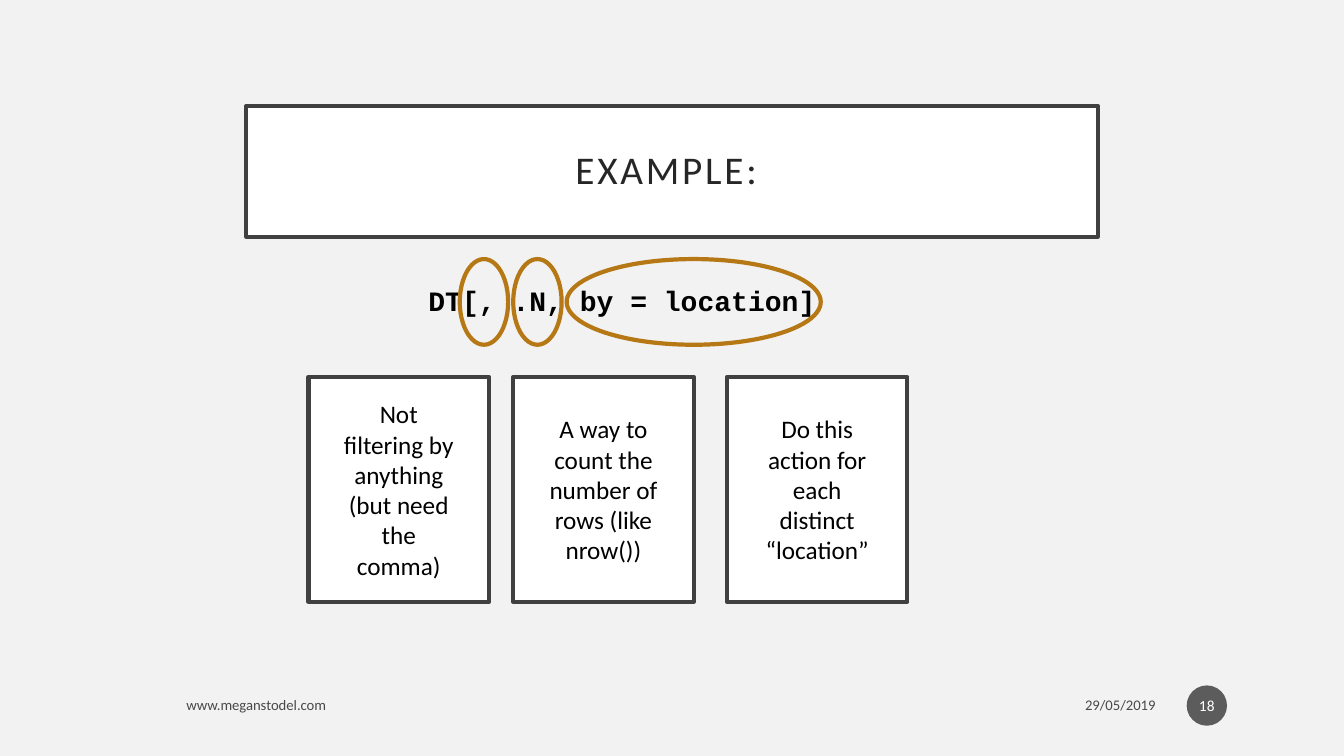
from pptx import Presentation
from pptx.dml.color import RGBColor
from pptx.enum.shapes import MSO_SHAPE
from pptx.enum.text import MSO_ANCHOR, MSO_AUTO_SIZE, PP_ALIGN
from pptx.oxml.ns import qn
from pptx.util import Inches, Pt
from lxml.etree import SubElement

# Content
TITLE = "EXAMPLE: "
CODE = "DT[, .N, by = location]"
NOTES = [  # left, text
    (3.06, "Not filtering by anything (but need the comma)"),
    (5.09, "A way to count the number of rows (like nrow())"),
    (7.21, "Do this action for each distinct “location”"),
]
RINGS = [(4.56, 0.48), (5.09, 0.48), (5.62, 2.52)]  # left, width
SITE, DATE, PAGE = "www.meganstodel.com", "29/05/2019", "18"


class Theme:
    back, white, black = "F2F2F2", "FFFFFF", "000000"
    edge, title, ring, badge = "404040", "262626", "B67815", "1D1D1D"
    font, mono = "Calibri", "Courier New"
    head, code, note, page, foot = 28, 20, 18, 11, 10.5
    opaque = 70


deck = Presentation()
deck.slide_width, deck.slide_height = Inches(13.33), Inches(7.5)
slide = deck.slides.add_slide(deck.slide_layouts[6])
slide.background.fill.solid()
slide.background.fill.fore_color.rgb = RGBColor.from_string(Theme.back)


def fade(node):
    """Make every colour below node partly transparent."""
    for color in node.iter(qn("a:srgbClr")):
        SubElement(color, qn("a:alpha")).set("val", str(Theme.opaque * 1000))


def add_form(kind, box, fill=None, line=None, width=0):
    form = slide.shapes.add_shape(kind, *map(Inches, box))
    form.shadow.inherit = False
    if fill:
        form.fill.solid()
        form.fill.fore_color.rgb = RGBColor.from_string(fill)
    else:
        form.fill.background()
    if line:
        form.line.color.rgb = RGBColor.from_string(line)
        form.line.width = Pt(width)
    else:
        form.line.fill.background()
    return form


def add_label(box):
    return slide.shapes.add_textbox(*map(Inches, box))


def write(form, text, size, color, align=PP_ALIGN.CENTER, font=Theme.font,
          pads=(0.1, 0.05), anchor=MSO_ANCHOR.MIDDLE):
    frame = form.text_frame
    frame.word_wrap = True
    frame.vertical_anchor = anchor
    frame.margin_left = frame.margin_right = Inches(pads[0])
    frame.margin_top = frame.margin_bottom = Inches(pads[1])
    para = frame.paragraphs[0]
    para.text = text
    para.alignment = align
    para.font.name, para.font.size = font, Pt(size)
    para.font.color.rgb = RGBColor.from_string(color)
    return para


# Title
form = add_form(MSO_SHAPE.RECTANGLE, (2.44, 1.05, 8.45, 1.3),
                Theme.white, Theme.edge, 2.5)
para = write(form, TITLE, Theme.head, Theme.title, pads=(0.2, 0.2))
para.line_spacing = 0.9
for props in para._p.iter(qn("a:defRPr")):
    props.set("spc", "200")

# Footer
badge = add_form(MSO_SHAPE.OVAL, (11.77, 6.8, 0.4, 0.4), Theme.badge)
fade(badge._element.spPr)
write(badge, PAGE, Theme.page, Theme.white, pads=(0.02, 0.05))
for left, width, text, align in [(1.75, 6.45, SITE, PP_ALIGN.LEFT),
                                 (8.55, 3.01, DATE, PP_ALIGN.RIGHT)]:
    para = write(add_label((left, 6.82, width, 0.35)), text,
                 Theme.foot, Theme.black, align)
    fade(para._p)

# Code line
label = add_label((1.01, 2.76, 10.32, 0.44))
para = write(label, CODE, Theme.code, Theme.black, font=Theme.mono,
             anchor=MSO_ANCHOR.TOP)
para.font.bold = True
label.text_frame.auto_size = MSO_AUTO_SIZE.SHAPE_TO_FIT_TEXT

# Notes and the rings around the code they explain
for left, text in NOTES:
    form = add_form(MSO_SHAPE.RECTANGLE, (left, 3.74, 1.79, 2.23),
                    Theme.white, Theme.edge, 3)
    write(form, text, Theme.note, Theme.black, pads=(0.3, 0.2))
for left, width in RINGS:
    add_form(MSO_SHAPE.OVAL, (left, 2.57, width, 0.85),
             line=Theme.ring, width=3)

deck.save("out.pptx")
